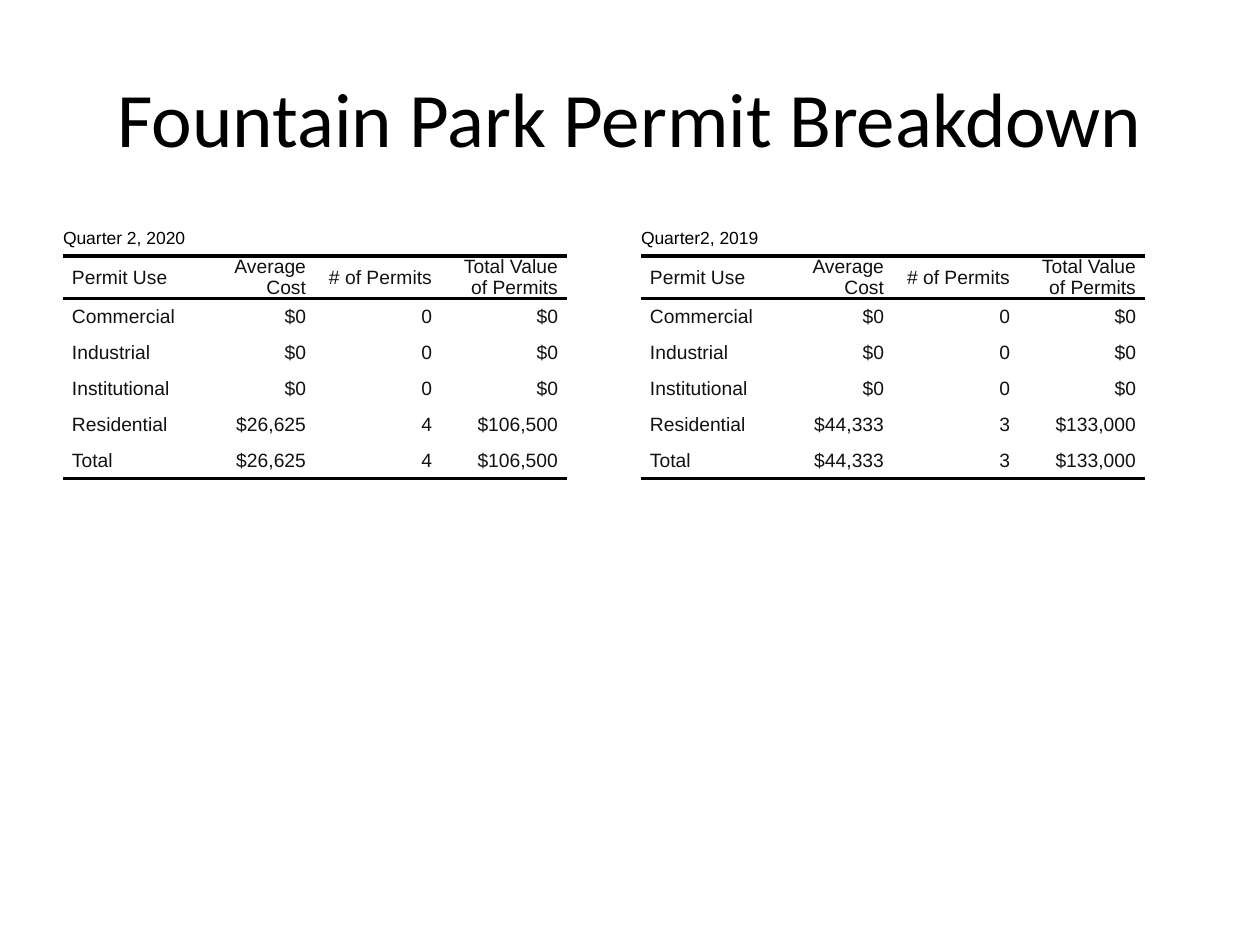
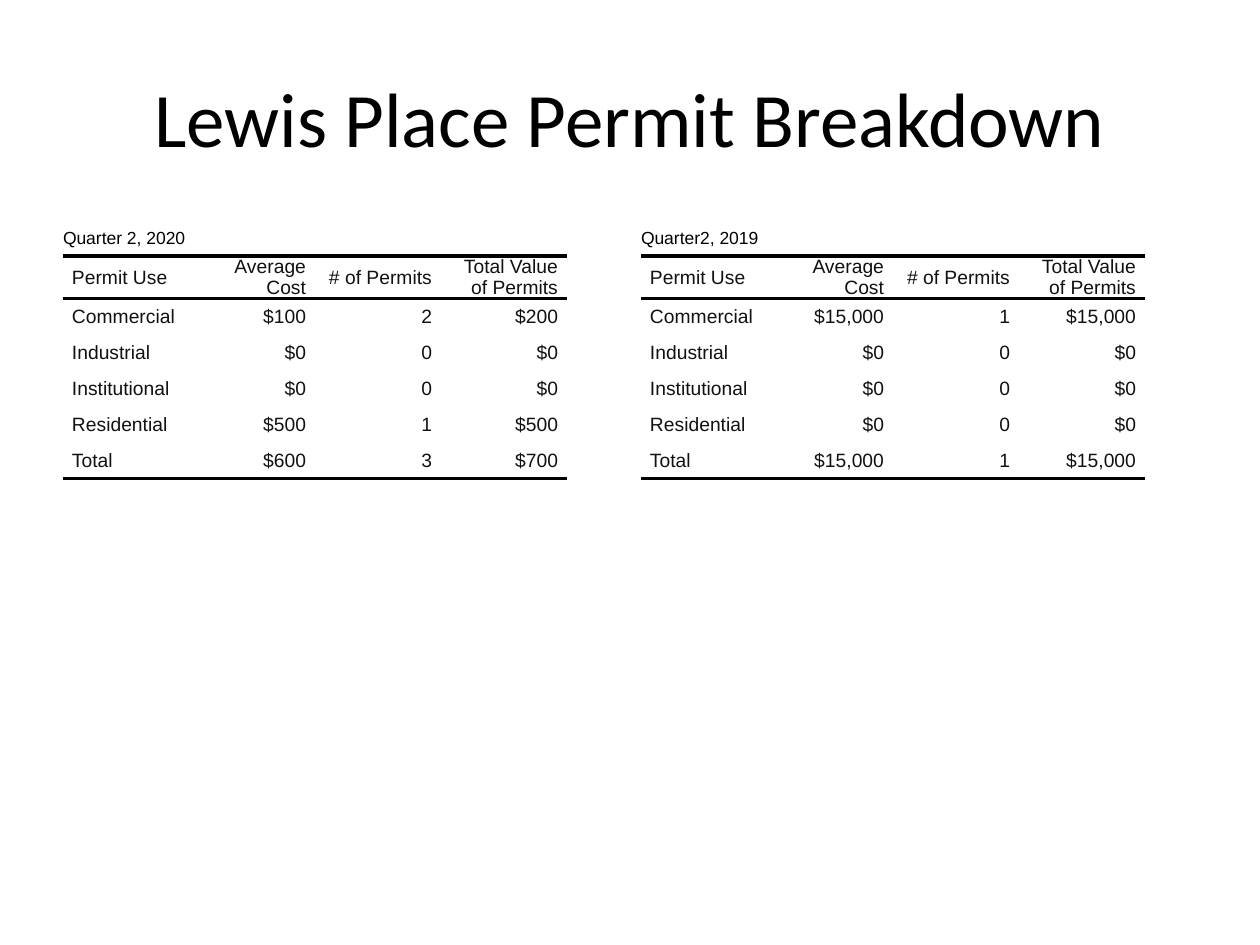
from dataclasses import dataclass

from lxml import etree
from pptx import Presentation
from pptx import util as u
from pptx.dml.color import RGBColor
from pptx.enum import text
from pptx.oxml import ns


@dataclass(frozen=True)
class Theme:
    """Colours, fonts and type sizes shared by the slides."""
    ink: str = "000000"
    cell_ink: str = "111111"
    title_font: str = "Calibri"
    table_font: str = "Arial"
    title_size: int = 44
    caption_size: int = 10
    cell_size: int = 11
    rule_width: int = 2


THEME = Theme()
PX_PER_INCH = 126
NO_STYLE = "{2D5ABB26-0587-4C30-8999-92F81FD0307C}"
TABLE_TOP, ROW_HEIGHT, COLUMN_WIDTH, CELL_INDENT = 220, 36, 126, 9
HEADINGS = ("Permit Use", "Average Cost", "# of Permits", "Total Value of Permits")
USES = ("Commercial", "Industrial", "Institutional", "Residential", "Total")
QUARTERS = (("Quarter 2, 2020", 63), ("Quarter2, 2019", 641))
NONE = (0, 0, 0)

NEIGHBORHOODS = {
    "Fountain Park": (
        (NONE, NONE, NONE, (26625, 4, 106500), (26625, 4, 106500)),
        (NONE, NONE, NONE, (44333, 3, 133000), (44333, 3, 133000)),
    ),
    "Lewis Place": (
        ((100, 2, 200), NONE, NONE, (500, 1, 500), (600, 3, 700)),
        ((15000, 1, 15000), NONE, NONE, NONE, (15000, 1, 15000)),
    ),
}


def px(length):
    """Turn whole pixels into EMU."""
    return u.Emu(round(length * u.Inches(1) / PX_PER_INCH))


def style_font(paragraph, name, size, color):
    """Set the font of a whole paragraph."""
    font = paragraph.font
    font.name, font.size, font.bold = name, u.Pt(size), False
    font.color.rgb = RGBColor.from_string(color)


def add_title(slide, words):
    """Place and fill the title placeholder."""
    title = slide.shapes.title
    title.left, title.top, title.width, title.height = map(px, (63, 38, 1134, 158))
    title.text_frame.text = words
    title.text_frame.vertical_anchor = text.MSO_ANCHOR.MIDDLE
    paragraph = title.text_frame.paragraphs[0]
    paragraph.alignment = text.PP_ALIGN.CENTER
    style_font(paragraph, THEME.title_font, THEME.title_size, THEME.ink)


def add_rule(cell, side):
    """Draw a solid border on one side of a cell, lnT or lnB."""
    properties = cell._tc.get_or_add_tcPr()
    line = etree.SubElement(properties, ns.qn(f"a:{side}"), w=str(u.Pt(THEME.rule_width)))
    fill = etree.SubElement(line, ns.qn("a:solidFill"))
    etree.SubElement(fill, ns.qn("a:srgbClr"), val=THEME.ink)


def fill_cell(cell, words, size, color, sides=()):
    """Write a cell without margins, with the given borders, and return its paragraph."""
    cell.text = words
    cell.margin_left = cell.margin_right = cell.margin_top = cell.margin_bottom = 0
    cell.vertical_anchor = text.MSO_ANCHOR.MIDDLE
    for side in sides:
        add_rule(cell, side)
    cell.fill.background()
    paragraph = cell.text_frame.paragraphs[0]
    style_font(paragraph, THEME.table_font, size, color)
    return paragraph


def fill_row(table, index, values, sides):
    """Write one table row, its label at the left and its figures at the right."""
    for column, words in enumerate(values):
        paragraph = fill_cell(table.cell(index, column), words,
                              THEME.cell_size, THEME.cell_ink, sides)
        paragraph.alignment = text.PP_ALIGN.RIGHT if column else text.PP_ALIGN.LEFT
        paragraph.space_after = u.Pt(2)
        properties = paragraph._p.get_or_add_pPr()
        for margin in ("marL", "marR"):
            properties.set(margin, str(px(CELL_INDENT)))


def add_permit_table(slide, caption, left, figures):
    """Add the permit table of one quarter."""
    rows, columns = len(USES) + 2, len(HEADINGS)
    frame = slide.shapes.add_table(rows, columns, px(left), px(TABLE_TOP),
                                   px(columns * COLUMN_WIDTH), px(rows * ROW_HEIGHT))
    table = frame.table
    table.first_row = table.horz_banding = False
    table._tbl.tblPr.find(ns.qn("a:tableStyleId")).text = NO_STYLE
    table.cell(0, 0).merge(table.cell(0, columns - 1))
    fill_cell(table.cell(0, 0), caption, THEME.caption_size, THEME.ink)
    fill_row(table, 1, HEADINGS, ("lnT", "lnB"))
    for index, (use, (average, count, total)) in enumerate(zip(USES, figures), start=2):
        sides = ("lnB",) if use == "Total" else ()
        fill_row(table, index, (use, f"${average:,}", str(count), f"${total:,}"), sides)


def main():
    """Build one slide for each neighborhood."""
    deck = Presentation()
    deck.slide_width, deck.slide_height = u.Inches(10), u.Inches(7.5)
    for name, quarters in NEIGHBORHOODS.items():
        slide = deck.slides.add_slide(deck.slide_layouts.get_by_name("Title Only"))
        add_title(slide, f"{name} Permit Breakdown")
        for (caption, left), figures in zip(QUARTERS, quarters):
            add_permit_table(slide, caption, left, figures)
    deck.save("out.pptx")


if __name__ == "__main__":
    main()
